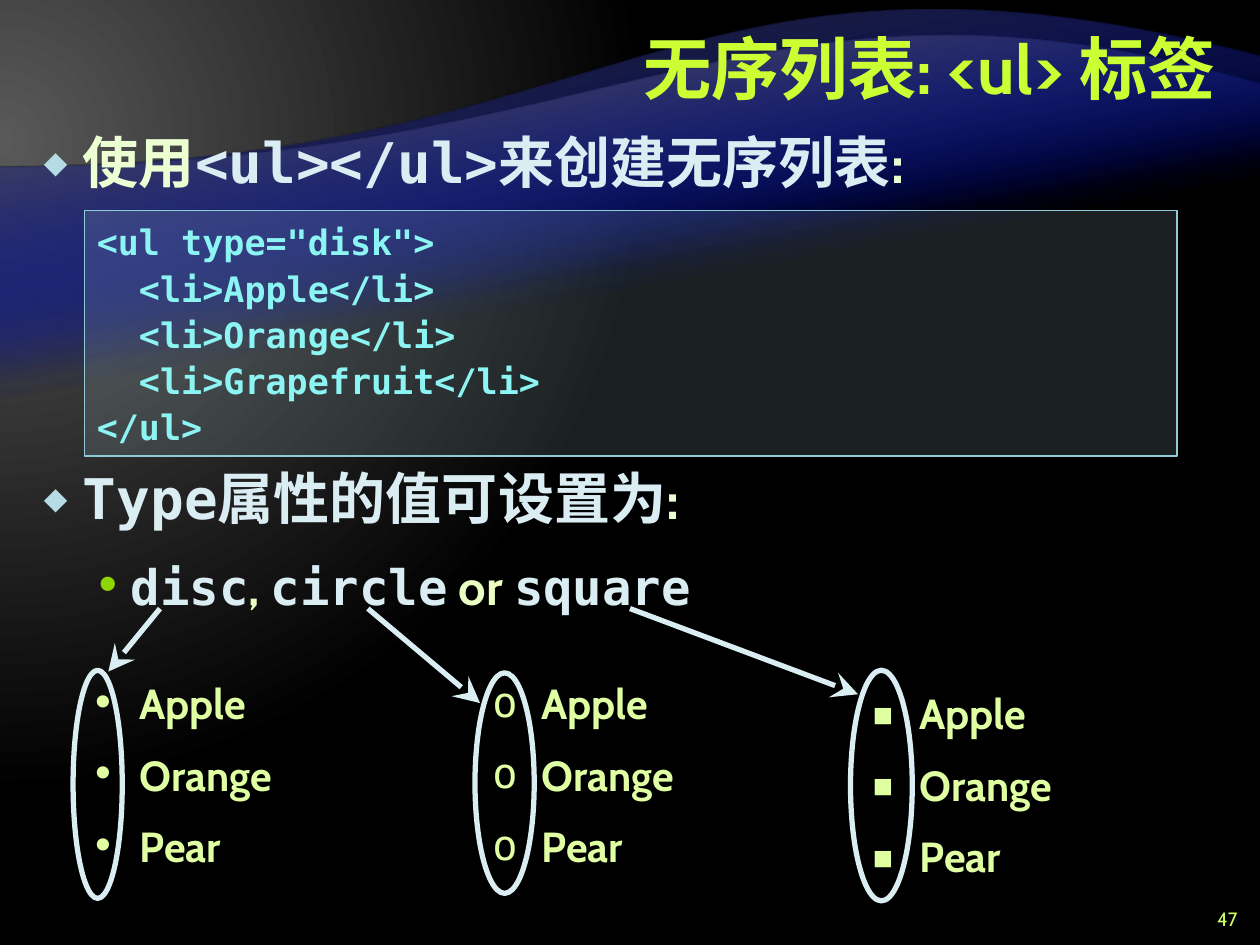
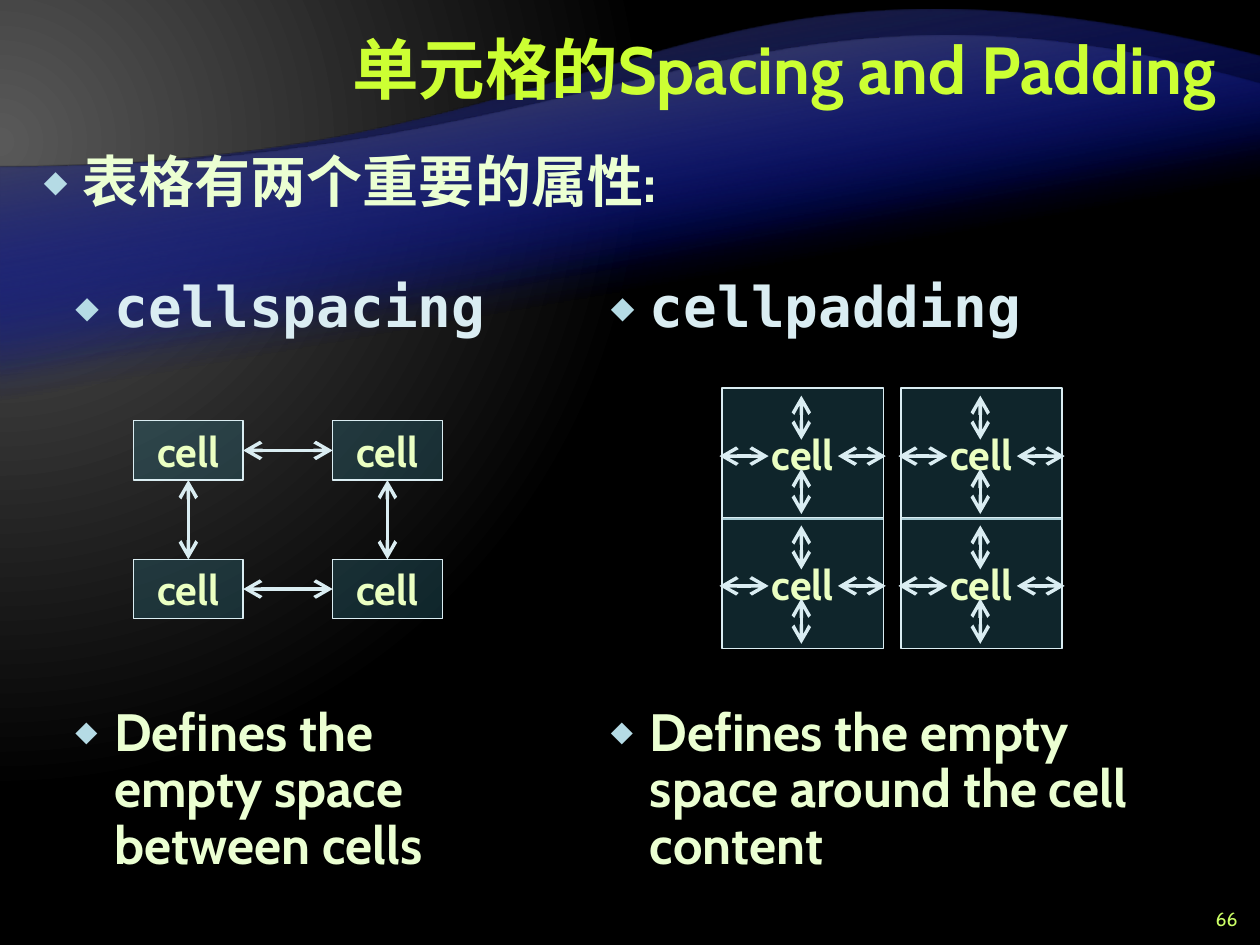
"""Build two slides on HTML lists and table cell spacing."""
from lxml import etree
from pptx import Presentation
from pptx.dml.color import RGBColor
from pptx.enum import shapes, text
from pptx.oxml import ns, parse_xml
from pptx.util import Inches, Pt

LIME = RGBColor(0xCC, 0xFF, 0x33)
NUMBER = RGBColor(0xCC, 0xFF, 0x66)
CREAM = RGBColor(0xEB, 0xFF, 0xD2)
PALE_LIME = RGBColor(0xEB, 0xFF, 0xC2)
LIST_LIME = RGBColor(0xE0, 0xFF, 0xA3)
ICE = RGBColor(0xDA, 0xED, 0xF2)
SKY = RGBColor(0xB5, 0xDB, 0xE5)
GREEN = RGBColor(0x8F, 0xD6, 0x00)
TEAL = RGBColor(0x33, 0x7D, 0x8F)
CODE_LINE = RGBColor(0x90, 0xCA, 0xD7)
CODE_TEXT = RGBColor(0x8C, 0xF4, 0xF2)
DEEP_BLUE = RGBColor(0x00, 0x0D, 0x9E)
DARK_GREY = RGBColor(0x26, 0x26, 0x26)
GREY = RGBColor(0x59, 0x59, 0x59)
BLACK = RGBColor(0, 0, 0)

SANS, MONO = "Cabin", "DejaVu Sans Mono"
DIAMOND = dict(char="◆", color=SKY, size=70, left=0.31, hang=0.31)
DOT = dict(char="•", color=GREEN, left=0.69, hang=0.3)
WAVES = [
    (DARK_GREY, 6.53, [(0, 1.33), (5, 1.33), (5.34, -0.75), (10, 0.45)]),
    (GREY, 5.57, [(0, 1.33), (5, 1.33), (5.98, -0.49), (10, 0.67)]),
]


def sub(parent, tag, **attrs):
    """Append a DrawingML child element."""
    return etree.SubElement(parent, ns.qn("a:" + tag), {k: str(v) for k, v in attrs.items()})


def gradient_xml(stops, shade):
    """Return a gradient fill from (position, colour, opacity) stops."""
    gs = "".join(
        f'<a:gs pos="{pos * 1000}"><a:srgbClr val="{color}">'
        f'<a:alpha val="{alpha * 1000}"/></a:srgbClr></a:gs>'
        for pos, color, alpha in stops)
    return (f'<a:gradFill {ns.nsdecls("a")} rotWithShape="1">'
            f'<a:gsLst>{gs}</a:gsLst>{shade}</a:gradFill>')


def add_background(s):
    """Set the dark radial background."""
    shade = '<a:path path="circle"><a:fillToRect l="20000" t="30000" r="135000" b="100000"/></a:path>'
    fill = gradient_xml([(0, GREY, 100), (83, BLACK, 100)], shade)
    s._element.cSld.insert(0, parse_xml(
        f'<p:bg {ns.nsdecls("p", "a")}><p:bgPr>{fill}<a:effectLst/></p:bgPr></p:bg>'))


def add_wave(s, color, bottom, controls):
    """Draw one translucent wave with a cubic upper edge."""
    corners = [(10, bottom), (0, bottom), controls[0], controls[-1]]
    outline = [(Inches(x), Inches(y)) for x, y in corners]
    builder = s.shapes.build_freeform(*outline[0])
    builder.add_line_segments(outline[1:])
    sp = builder.convert_to_shape()
    edge = list(sp._element.iter(ns.qn("a:lnTo")))[2]
    curve = etree.Element(ns.qn("a:cubicBezTo"))
    for x, y in controls[1:]:
        sub(curve, "pt", x=Inches(x) - sp.left, y=Inches(y) - sp.top)
    edge.getparent().replace(edge, curve)
    sp.shadow.inherit = False
    sp.line.fill.background()
    sp.fill.solid()
    solid = sp._element.spPr.find(ns.qn("a:solidFill"))
    stops = [(65, DEEP_BLUE, 0), (100, color, 100)]
    solid.getparent().replace(solid, parse_xml(
        gradient_xml(stops, f'<a:lin ang="{260 * 60000}" scaled="0"/>')))


def add_run(p, words, size, color, font=SANS, bold=True):
    """Append a formatted run."""
    r = p.add_run()
    r.text = words
    r.font.size, r.font.bold, r.font.name = Pt(size), bold, font
    r.font.color.rgb = color


def set_bullet(p, char, left, hang, color=None, size=100):
    """Give a paragraph a bullet and a hanging indent."""
    pPr = p._p.get_or_add_pPr()
    pPr.set("marL", str(Inches(left)))
    pPr.set("indent", str(-Inches(hang)))
    if color is not None:
        sub(sub(pPr, "buClr"), "srgbClr", val=color)
    sub(pPr, "buSzPct", val=size * 1000)
    sub(pPr, "buFont", typeface=MONO)
    sub(pPr, "buChar", char=char)


def fill_text(tf, paragraphs, bullets=(), spacing=None, before=(), after=0, align=None):
    """Write paragraphs, each a list of run arguments."""
    for i, runs in enumerate(paragraphs):
        p = tf.add_paragraph() if i else tf.paragraphs[0]
        if bullets:
            set_bullet(p, **bullets[i])
        if spacing:
            p.line_spacing = spacing
        p.space_before = Pt(before[i - 1] if i and before else 0)
        p.space_after = Pt(after)
        p.alignment = align
        for run in runs:
            add_run(p, *run)


def add_text(s, box, paragraphs, **layout):
    """Add a wrapping text box."""
    tf = s.shapes.add_textbox(*map(Inches, box)).text_frame
    tf.word_wrap = True
    fill_text(tf, paragraphs, **layout)
    return tf


def add_body(s, box, paragraphs, spacing, bullets, before=()):
    """Add bulleted body text."""
    add_text(s, box, paragraphs, bullets=bullets, spacing=spacing, before=before, after=6)


def add_shape(s, kind, box, line, width, fill=None, opacity=100):
    """Add an outlined shape with an optional translucent fill."""
    sp = s.shapes.add_shape(kind, *map(Inches, box))
    sp.shadow.inherit = False
    sp.line.color.rgb, sp.line.width = line, Pt(width)
    if fill is None:
        sp.fill.background()
    else:
        sp.fill.solid()
        sp.fill.fore_color.rgb = fill
        sub(sp._element.spPr.find(ns.qn("a:solidFill"))[0], "alpha", val=opacity * 1000)
    return sp


def add_arrow(s, start=(0, 0), end=(0, 0), width=2, head="arrow", tail="arrow"):
    """Add a straight arrow with large heads."""
    c = s.shapes.add_connector(shapes.MSO_CONNECTOR.STRAIGHT, *map(Inches, (*start, *end)))
    c.line.color.rgb, c.line.width = ICE, Pt(width)
    ln = c.line._get_or_add_ln()
    for tag, kind in (("headEnd", head), ("tailEnd", tail)):
        if kind:
            sub(ln, tag, type=kind, w="lg", len="lg")
    sub(c._element.spPr, "effectLst")
    return c


def join(s, first, first_side, second, second_side):
    """Join two cells with a double arrow."""
    c = add_arrow(s)
    c.begin_connect(first, first_side)
    c.end_connect(second, second_side)


def add_cell(s, box, insets=(0.1, 0.05)):
    """Add one table cell."""
    sp = add_shape(s, shapes.MSO_SHAPE.RECTANGLE, box, ICE, 0.75, TEAL, 30)
    tf = sp.text_frame
    tf.word_wrap = False
    tf.vertical_anchor = text.MSO_ANCHOR.MIDDLE
    tf.margin_left = tf.margin_right = Inches(insets[0])
    tf.margin_top = tf.margin_bottom = Inches(insets[1])
    fill_text(tf, [[("cell", 24, PALE_LIME)]], align=text.PP_ALIGN.CENTER)
    return sp


def add_padded_cell(s, x, y):
    """Add a cell with arrows across its padding."""
    add_cell(s, (x, y, 1.28, 1.04), (0.39, 0.31))
    for top, bottom in ((0.06, 0.41), (0.64, 1)):
        add_arrow(s, (x + 0.63, y + top), (x + 0.63, y + bottom))
    for left, right in ((-0.02, 0.37), (0.92, 1.3)):
        add_arrow(s, (x + left, y + 0.54), (x + right, y + 0.54))


def add_list(s, x, y, width, char):
    """Add a fruit list with the given marker."""
    fruits = [[(name, 24, LIST_LIME)] for name in ("Apple", "Orange", "Pear")]
    marker = dict(char=char, left=0.39, hang=0.39)
    add_text(s, (x, y, width, 1.72), fruits, bullets=[marker] * 3, before=(12, 12))


def add_code(s, box, lines):
    """Add a code panel."""
    sp = add_shape(s, shapes.MSO_SHAPE.RECTANGLE, box, CODE_LINE, 1, SKY, 15)
    sp.text_frame.vertical_anchor = text.MSO_ANCHOR.TOP
    fill_text(sp.text_frame, [[(line, 20, CODE_TEXT, MONO)] for line in lines],
              spacing=1.1, align=text.PP_ALIGN.LEFT)


def new_slide(prs, title, size, number):
    """Add a slide with background, waves, title and number."""
    s = prs.slides.add_slide(prs.slide_layouts[5])
    add_background(s)
    for wave in WAVES * 2:
        add_wave(s, *wave)
    sp = s.shapes.title
    s.shapes._spTree.append(sp._element)
    sp.left, sp.top, sp.width, sp.height = map(Inches, (2, 0.08, 7.75, 1))
    sp.text_frame.vertical_anchor = text.MSO_ANCHOR.MIDDLE
    fill_text(sp.text_frame, [[(title, size, LIME)]], spacing=Pt(40), align=text.PP_ALIGN.RIGHT)
    tf = add_text(s, (9.42, 7.17, 0.5, 0.25), [[(number, 11, NUMBER, SANS, False)]],
                  align=text.PP_ALIGN.RIGHT)
    tf.vertical_anchor = text.MSO_ANCHOR.MIDDLE
    return s


def build_list_slide(prs):
    """Build the unordered list slide."""
    s = new_slide(prs, "无序列表: <ul> 标签", 39, "47")
    add_body(s, (0.25, 1, 9.5, 6.33), [
        [("使用", 32, CREAM), ("<ul></ul>来创建无序列表", 32, ICE, MONO), (":", 32, CREAM)],
        [("Type属性的值可设置为", 32, ICE, MONO), (":", 32, CREAM)],
        [("disc", 28, ICE, MONO), (", ", 28, PALE_LIME), ("circle", 28, ICE, MONO),
         (" or ", 28, PALE_LIME), ("square", 28, ICE, MONO)],
    ], Pt(36), (DIAMOND, DIAMOND, DOT), (150, 6))
    for start, end in (((1.27, 4.83), (0.86, 5.33)), ((5, 4.83), (6.81, 5.51)),
                       ((2.92, 4.83), (3.81, 5.58))):
        add_arrow(s, start, end, 3, None, "stealth")
    for x, y, width, char in ((0.62, 5.33, 1.83, "•"), (3.81, 5.33, 2.08, "o"),
                              (6.81, 5.41, 2.08, "▪")):
        add_list(s, x, y, width, char)
    for ring in ((0.58, 5.32, 0.39, 1.81), (6.75, 5.32, 0.49, 1.83), (3.77, 5.34, 0.47, 1.75)):
        add_shape(s, shapes.MSO_SHAPE.OVAL, ring, ICE, 3)
    add_code(s, (0.67, 1.67, 8.67, 1.95), [
        '<ul type="disk">', "  <li>Apple</li>", "  <li>Orange</li>",
        "  <li>Grapefruit</li>", "</ul>"])


def build_cell_slide(prs):
    """Build the cell spacing and padding slide."""
    s = new_slide(prs, "单元格的Spacing and Padding", 38, "66")
    add_body(s, (0.25, 1.17, 9.5, 0.58), [[("表格有两个重要的属性:", 32, CREAM)]], 0.9, [DIAMOND])
    for box, name, meaning in (
            ((4.75, 2.17, 4.67, 4.83), "cellpadding",
             "Defines the empty space around the cell content"),
            ((0.5, 2.17, 3.67, 5), "cellspacing", "Defines the empty space between cells")):
        add_body(s, box, [[(name, 32, ICE, MONO)], [(meaning, 30, CREAM)]],
                 0.9, [DIAMOND] * 2, [203])

    top_left, top_right, low_left, low_right = [
        add_cell(s, (x, y, 0.87, 0.47)) for y in (3.34, 4.44) for x in (1.06, 2.64)]
    for left, right in ((top_left, top_right), (low_left, low_right)):
        join(s, left, 3, right, 1)
    for upper, lower in ((top_left, low_left), (top_right, low_right)):
        join(s, upper, 2, lower, 0)

    for x in (5.73, 7.15):
        for y in (3.08, 4.11):
            add_padded_cell(s, x, y)


def main():
    """Build and save the deck."""
    prs = Presentation()
    prs.slide_width, prs.slide_height = Inches(10), Inches(7.5)
    build_list_slide(prs)
    build_cell_slide(prs)
    prs.save("out.pptx")


if __name__ == "__main__":
    main()
